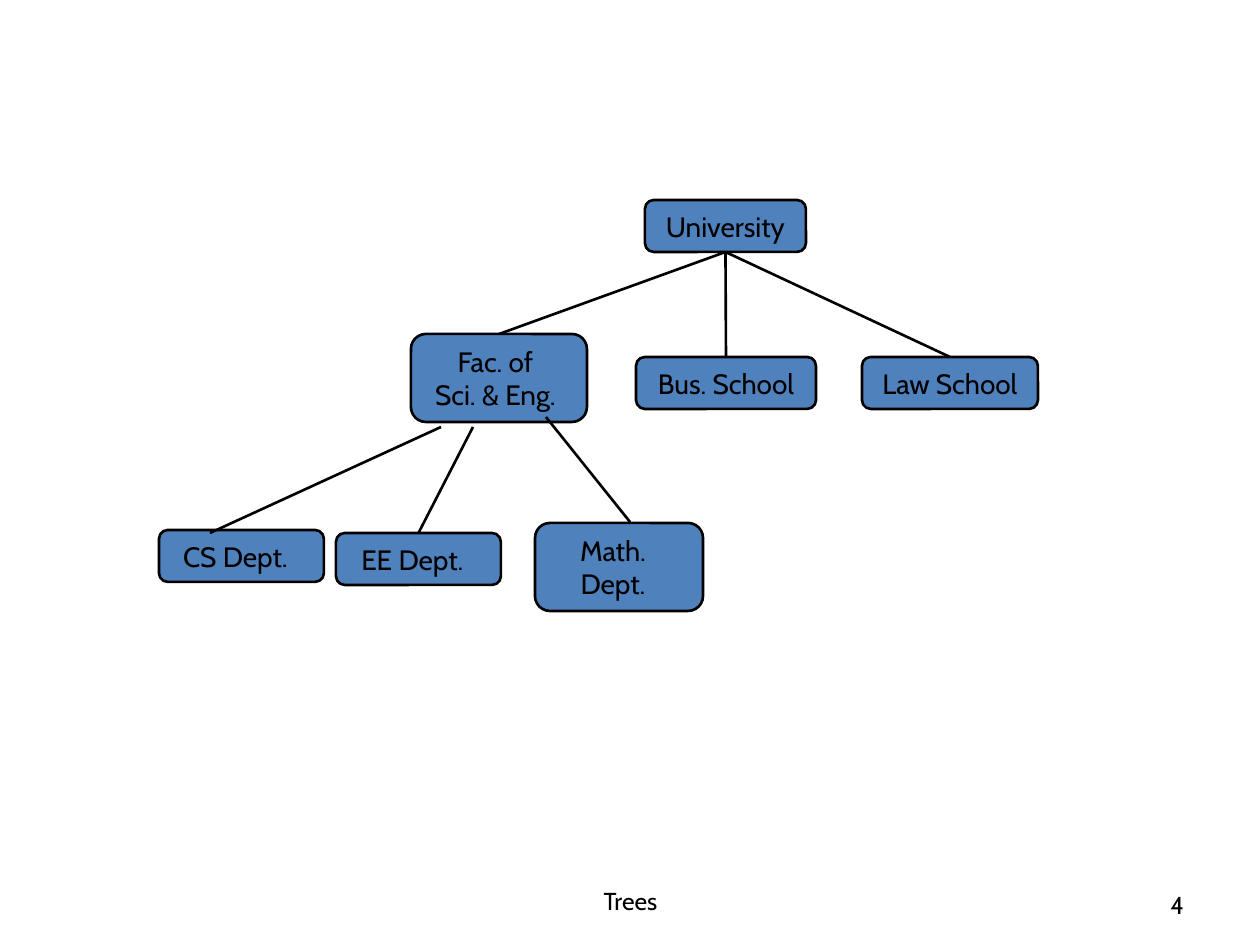
from pptx import Presentation
from pptx.dml.color import RGBColor
from pptx.enum.shapes import MSO_CONNECTOR, MSO_SHAPE
from pptx.enum.text import MSO_ANCHOR, PP_ALIGN
from pptx.oxml.ns import qn
from pptx.util import Emu, Pt
from lxml import etree

ROUNDED = MSO_SHAPE.ROUNDED_RECTANGLE
STRAIGHT = MSO_CONNECTOR.STRAIGHT
MIDDLE = MSO_ANCHOR.MIDDLE
CENTER, RIGHT = PP_ALIGN.CENTER, PP_ALIGN.RIGHT
TOP_SIDE, BOTTOM_SIDE = 0, 2
BLACK, BLUE = "000000", "4F81BD"
INSET = 13


def px(*lengths):
    return [Emu(round(n * 914400 / 126)) for n in lengths]


def write(shape, text, size, align, wrap=True, right_inset=INSET):
    frame = shape.text_frame
    frame.text = text
    left, right, edge = px(INSET, right_inset, 6)
    layout = {"word_wrap": wrap, "vertical_anchor": MIDDLE,
              "margin_left": left, "margin_right": right,
              "margin_top": edge, "margin_bottom": edge}
    for key, value in layout.items():
        setattr(frame, key, value)
    for paragraph in frame.paragraphs:
        paragraph.alignment = align
        paragraph.font.name = "Cabin"
        paragraph.font.size = Pt(size)
        paragraph.font.color.rgb = RGBColor.from_string(BLACK)


prs = Presentation()
prs.slide_width, prs.slide_height = px(1260, 945)
slide = prs.slides.add_slide(prs.slide_layouts[6])

# Footer: topic and page number
for text, box, align in [
    ("Trees", (431, 876, 399, 50), CENTER),
    ("4", (903, 880, 294, 50), RIGHT),
]:
    write(slide.shapes.add_textbox(*px(*box)), text, 14, align)

# Tree nodes: label, box, wrapping, right inset
nodes = {}
for label, box, wrap, right_inset in [
    ("University", (645, 200, 161, 52), False, INSET),
    ("Fac. of\nSci. & Eng.", (411, 334, 176, 88), False, 20),
    ("Bus. School", (636, 357, 180, 52), False, INSET),
    ("Law School", (862, 357, 176, 52), False, INSET),
    ("CS Dept.", (159, 530, 165, 52), True, 25),
    ("EE Dept.", (336, 533, 165, 52), True, 25),
    ("Math. Dept.", (535, 523, 168, 88), True, 25),
]:
    node = slide.shapes.add_shape(ROUNDED, *px(*box))
    node.shadow.inherit = False
    node.adjustments[0] = 0.17
    node.fill.solid()
    node.fill.fore_color.rgb = RGBColor.from_string(BLUE)
    node.line.color.rgb = RGBColor.from_string(BLACK)
    node.line.width = Pt(1.5)
    write(node, label, 16, CENTER, wrap, right_inset)
    nodes[label] = node

# Branches: ends, and the nodes joined at a side's middle
for ends, parent, child in [
    ((726, 253, 726, 354), "University", "Bus. School"),
    ((726, 253, 499, 331), "University", "Fac. of\nSci. & Eng."),
    ((726, 253, 950, 354), "University", "Law School"),
    ((441, 427, 210, 533), None, None),
    ((473, 427, 420, 533), None, "EE Dept."),
    ((546, 417, 630, 522), None, None),
]:
    branch = slide.shapes.add_connector(STRAIGHT, *px(*ends))
    if parent:
        branch.begin_connect(nodes[parent], BOTTOM_SIDE)
    if child:
        branch.end_connect(nodes[child], TOP_SIDE)
    branch.line.color.rgb = RGBColor.from_string(BLACK)
    branch.line.width = Pt(1.5)
    etree.SubElement(branch._element.spPr, qn("a:effectLst"))

prs.save("out.pptx")
